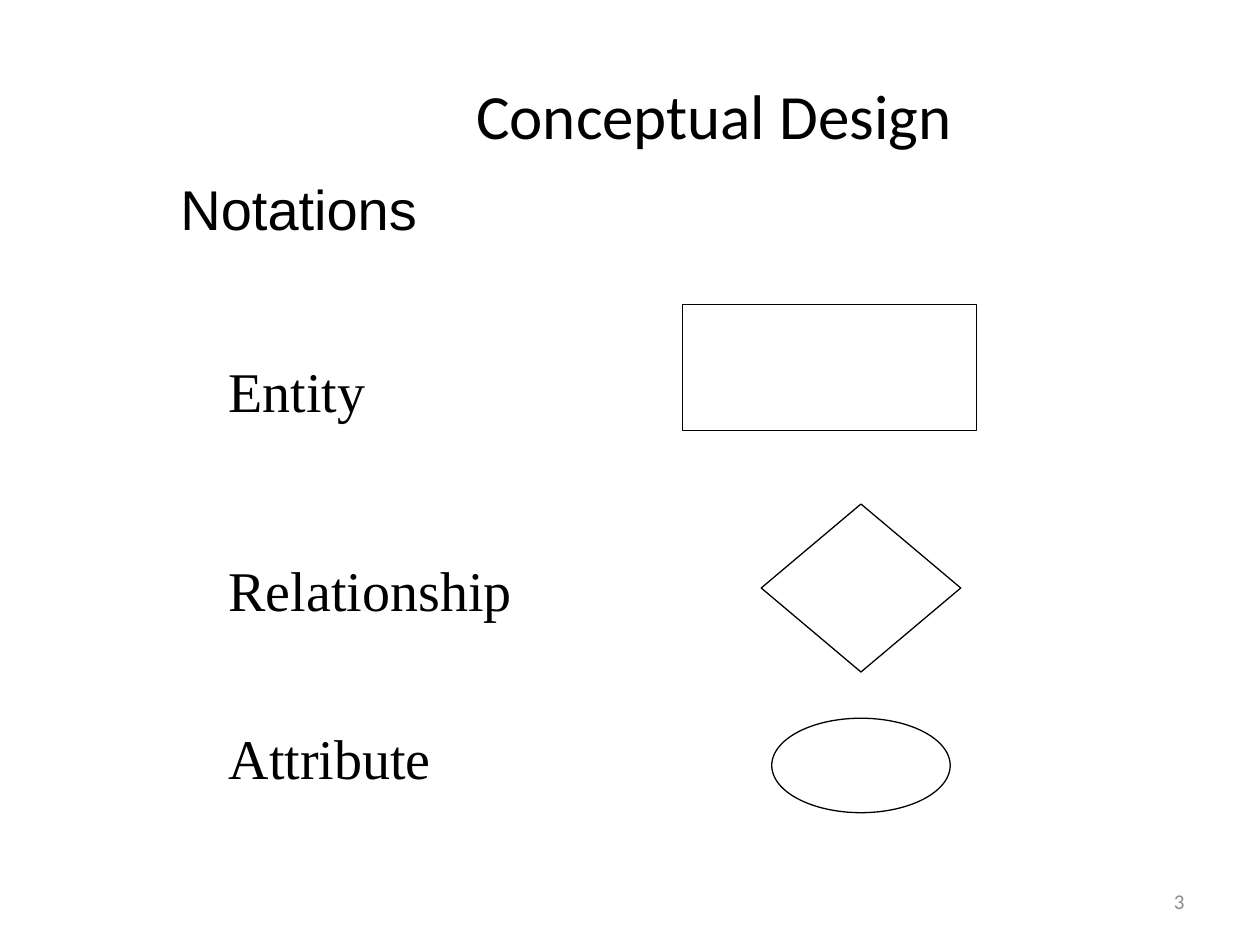
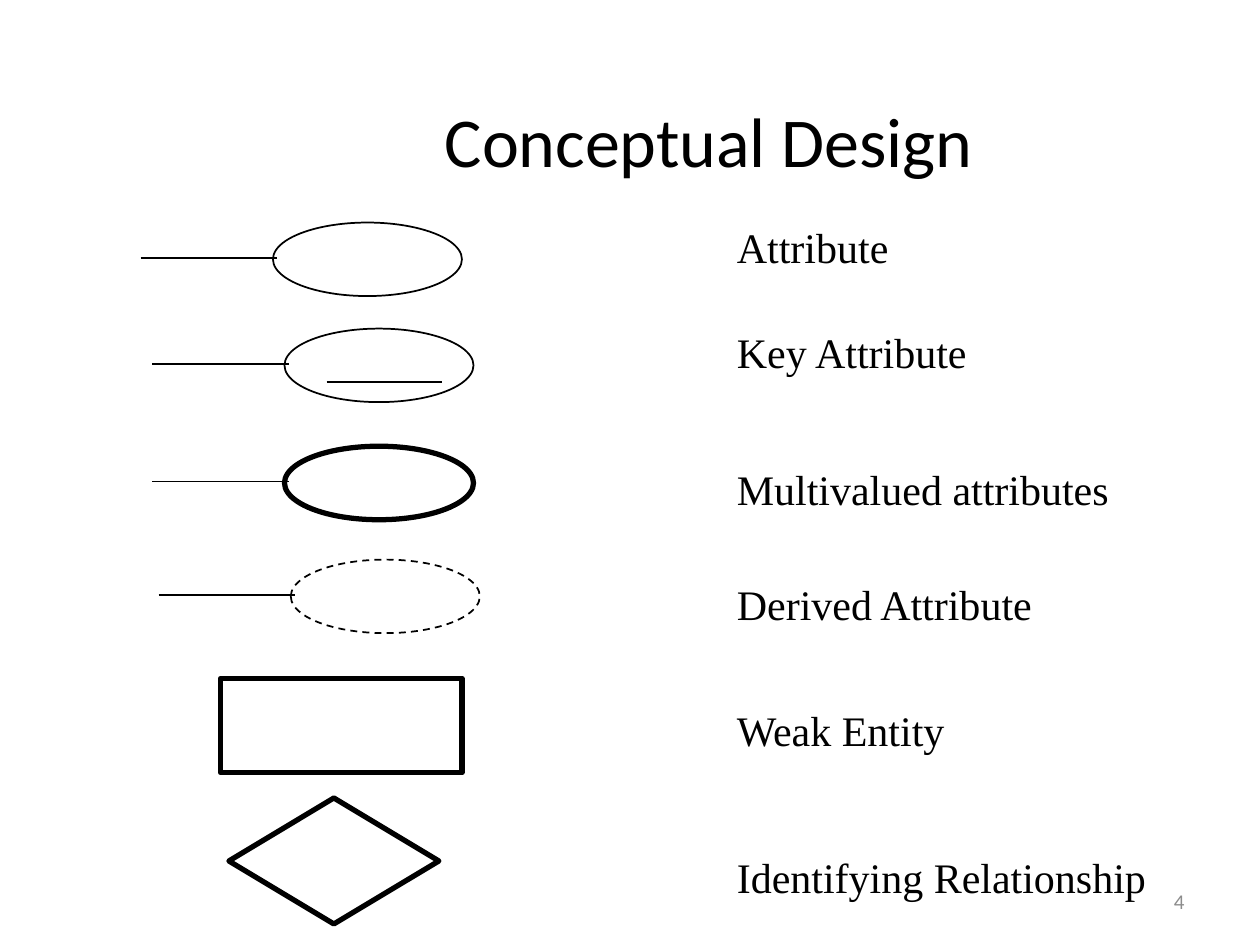
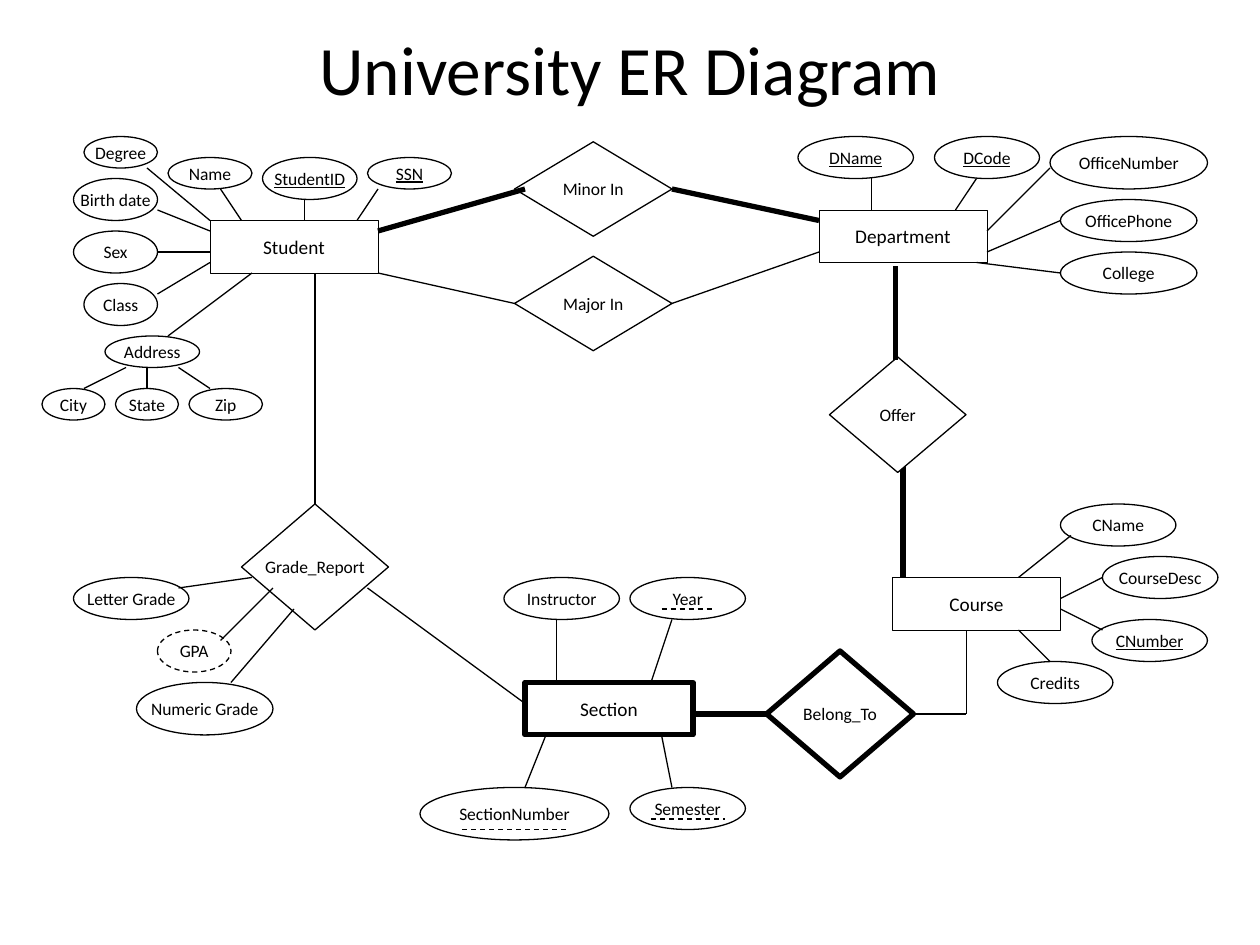
from dataclasses import dataclass

from lxml.etree import SubElement
from pptx import Presentation
from pptx.dml.color import RGBColor
from pptx.enum.dml import MSO_LINE_DASH_STYLE as DASH
from pptx.enum.shapes import MSO_CONNECTOR, MSO_SHAPE
from pptx.enum.text import MSO_ANCHOR as ANCHOR, PP_ALIGN as ALIGN
from pptx.oxml.ns import qn
from pptx.util import Inches, Pt

COLUMNS, ROWS = 120, 90
SLIDE_WIDTH, SLIDE_HEIGHT = Inches(10), Inches(7.5)
TOP, LEFT, BOTTOM, RIGHT = range(4)  # connection sites
RECT, DIAMOND, OVAL = MSO_SHAPE.RECTANGLE, MSO_SHAPE.DIAMOND, MSO_SHAPE.OVAL


@dataclass(frozen=True)
class Theme:
    ink: RGBColor = RGBColor(0, 0, 0)
    paper: RGBColor = RGBColor(255, 255, 255)
    muted: RGBColor = RGBColor(0x8C, 0x8C, 0x8C)
    sans: str = "Calibri"
    heading: str = "Arial"
    serif: str = "Times New Roman"
    notation_size: float = 32
    legend_size: float = 24
    number_size: float = 12
    entity_size: float = 11
    attribute_size: float = 10
    hairline: float = 0.25
    fine: float = 0.5
    thin: float = 0.75
    medium: float = 1
    thick: float = 3


THEME = Theme()


def across(columns):
    return round(SLIDE_WIDTH * columns / COLUMNS)


def down(rows):
    return round(SLIDE_HEIGHT * rows / ROWS)


def write(frame, text, size, font=THEME.sans, color=THEME.ink,
          align=ALIGN.LEFT, anchor=ANCHOR.TOP, wrap=True, underline=False):
    frame.text = text
    frame.word_wrap = wrap
    frame.vertical_anchor = anchor
    para = frame.paragraphs[0]
    para.alignment = align
    for span in para.runs:
        span.font.name = font
        span.font.size = Pt(size)
        span.font.color.rgb = color
        if underline:
            span.font.underline = True


def draw_line(line, weight, dashed):
    line.color.rgb = THEME.ink
    line.width = Pt(weight)
    if dashed:
        line.dash_style = DASH.DASH


@dataclass
class Panel:
    """A region of the page; its parts are placed from its top left cell."""
    page: object
    left: float = 0
    top: float = 0

    def place(self, left, top, width, height):
        return (across(self.left + left), down(self.top + top),
                across(width), down(height))

    def label(self, box, text, size, **style):
        frame = self.page.shapes.add_textbox(*self.place(*box)).text_frame
        write(frame, text, size, **style)
        return frame

    def shape(self, kind, box, text="", weight=THEME.thin, dashed=False,
              size=THEME.attribute_size, underline=False, filled=False):
        shape = self.page.shapes.add_shape(kind, *self.place(*box))
        shape.shadow.inherit = False
        if filled:
            shape.fill.solid()
            shape.fill.fore_color.rgb = THEME.paper
        else:
            shape.fill.background()
        draw_line(shape.line, weight, dashed)
        if text:
            write(shape.text_frame, text, size, align=ALIGN.CENTER,
                  anchor=ANCHOR.MIDDLE, wrap=False, underline=underline)
        return shape

    def line(self, points, weight=THEME.thin, dashed=False, begin=None, end=None):
        x1, y1, x2, y2 = points
        line = self.page.shapes.add_connector(
            MSO_CONNECTOR.STRAIGHT,
            across(self.left + x1), down(self.top + y1),
            across(self.left + x2), down(self.top + y2))
        draw_line(line.line, weight, dashed)
        SubElement(line._element.spPr, qn("a:effectLst"))
        if begin:
            line.begin_connect(*begin)
        if end:
            line.end_connect(*end)


def add_title(page, box, text, size, indent=0, drop=0, lift=0):
    frame = Panel(page).label(box, text, size, align=ALIGN.CENTER,
                              anchor=ANCHOR.MIDDLE)
    frame.margin_left += across(indent)
    frame.margin_top += down(drop)
    frame.margin_bottom += down(lift)


def add_page_number(page, number):
    Panel(page).label((86, 83.4, 28, 4.8), str(number), THEME.number_size,
                      color=THEME.muted, align=ALIGN.RIGHT, anchor=ANCHOR.MIDDLE)


# Notations slide: name, row and width of the label, then symbol and its box
NOTATIONS = [
    ("Entity", 33.4, 15.5, RECT, (65, 29, 28, 12)),
    ("Relationship", 52.4, 29.4, DIAMOND, (72.5, 48, 19, 16)),
    ("Attribute", 68.4, 21.7, OVAL, (73.5, 68.4, 17, 9)),
]


def notation_slide(page):
    add_title(page, (8, 6.1, 102, 14.5), "Conceptual Design", 36, indent=18, lift=5)
    add_page_number(page, 3)
    panel = Panel(page)
    panel.label((16, 16, 32, 7.5), "Notations", THEME.notation_size,
                font=THEME.heading)
    for name, row, width, kind, box in NOTATIONS:
        panel.label((20.6, row, width, 7.5), name, THEME.notation_size,
                    font=THEME.serif, anchor=ANCHOR.MIDDLE, wrap=False)
        panel.shape(kind, box)


# Legend slide: left, top, outline weight, stem weight, dashed
ATTRIBUTE_SYMBOLS = [
    (26, 21.2, THEME.medium, THEME.medium, False),
    (27.1, 31.3, THEME.medium, THEME.medium, False),
    (27.1, 42.5, THEME.thick, THEME.fine, False),
    (27.7, 53.3, THEME.medium, THEME.medium, True),
]
KEY_SYMBOL = 1
LEGEND = [
    ("Attribute", 20, 23),
    ("Key Attribute", 30, 31),
    ("Multivalued attributes", 43, 42),
    ("Derived Attribute", 54, 31),
    ("Weak Entity", 66, 31),
    ("Identifying Relationship", 80, 42),
]


def attribute_symbol(panel, weight, stem, dashed, key):
    panel.shape(OVAL, (0, 0, 18, 7), weight=weight, dashed=dashed)
    panel.line((-12.6, 3.4, 0.4, 3.4), stem)
    if key:
        panel.line((4, 5.1, 15, 5.1), weight)


def legend_slide(page):
    add_title(page, (10, 4, 99, 16), "Conceptual Design", 40, indent=16, drop=2.6)
    add_page_number(page, 4)
    for index, (left, top, weight, stem, dashed) in enumerate(ATTRIBUTE_SYMBOLS):
        attribute_symbol(Panel(page, left, top), weight, stem, dashed,
                         key=index == KEY_SYMBOL)
    panel = Panel(page)
    panel.shape(RECT, (21, 64.6, 23, 9), weight=THEME.thick)
    panel.shape(DIAMOND, (21.8, 76, 20, 12), weight=THEME.thick)
    for name, row, width in LEGEND:
        frame = panel.label((69, row, width, 6), name, THEME.legend_size,
                            font=THEME.serif)
        frame.margin_top = down(1.1)


@dataclass
class Cluster:
    """An owner with its attributes and links, in cells from its origin."""
    origin: tuple
    owner: str
    box: tuple
    attributes: dict
    links: list
    keys: tuple = ()
    derived: tuple = ()
    partial_keys: tuple = ()  # dashed underlines
    kind: object = RECT
    weight: float = THEME.hairline
    size: float = THEME.entity_size


STUDENT = Cluster(
    (4, 13), "Student", (16, 8, 16, 5),
    {"Class": (4, 14, 7, 4), "StudentID": (21, 2, 9, 4), "SSN": (31, 2, 8, 3),
     "Sex": (3, 9, 8, 4), "Zip": (14, 24, 7, 3), "Degree": (4, 0, 7, 3),
     "City": (0, 24, 6, 3), "Birth date": (3, 4, 8, 4), "State": (7, 24, 6, 3),
     "Name": (12, 2, 8, 3), "Address": (6, 19, 9, 3)},
    [(4, 24, 8, 22), (10, 22, 10, 24), (13, 22, 16, 24), (10, 3, 16, 8),
     (12, 19, 20, 13), (11, 15, 16, 12), (11, 11, 16, 11), (11, 7, 16, 9),
     (17, 5, 19, 8), (25, 6, 25, 8), (32, 5, 30, 8)],
    keys=("StudentID", "SSN"))

DEPARTMENT = Cluster(
    (76, 13), "Department", (2, 7, 16, 5),
    {"DName": (0, 0, 11, 4), "DCode": (13, 0, 10, 4),
     "OfficeNumber": (24, 0, 15, 5), "OfficePhone": (25, 6, 13, 4),
     "College": (25, 11, 13, 4)},
    [(7, 7, 7, 4), (15, 7, 17, 4), (18, 9, 24, 3), (18, 11, 25, 8),
     (17, 12, 25, 13)],
    keys=("DName", "DCode"))

COURSE = Cluster(
    (85, 48), "Course", (0, 7, 16, 5),
    {"CName": (16, 0, 11, 4), "CourseDesc": (20, 5, 11, 4),
     "CNumber": (19, 11, 11, 4), "Credits": (10, 15, 11, 4)},
    [(12, 7, 17, 3), (16, 9, 20, 7), (16, 10, 20, 12), (12, 12, 15, 15)],
    keys=("CNumber",))

SECTION = Cluster(
    (40, 55), "Section", (10, 10, 16, 5),
    {"Instructor": (8, 0, 11, 4), "Year": (20, 0, 11, 4),
     "Semester": (20, 20, 11, 4), "SectionNumber": (0, 20, 18, 5)},
    [(13, 10, 13, 4), (23, 15, 24, 20), (12, 15, 10, 20), (22, 10, 24, 4)],
    partial_keys=((4, 24, 14, 24), (23, 3, 28, 3), (22, 23, 29, 23)),
    weight=THEME.thick)

GRADE_REPORT = Cluster(
    (7, 48), "Grade_Report", (16, 0, 14, 12),
    {"GPA": (8, 12, 7, 4), "Numeric Grade": (6, 17, 13, 5),
     "Letter Grade": (0, 7, 11, 4)},
    [(15, 17, 21, 10), (17, 7, 10, 8), (14, 13, 19, 8)],
    derived=("GPA",), kind=DIAMOND, weight=THEME.thin, size=THEME.attribute_size)


def draw_cluster(page, cluster):
    panel = Panel(page, *cluster.origin)
    owner = panel.shape(cluster.kind, cluster.box, cluster.owner,
                        cluster.weight, size=cluster.size)
    for name, box in cluster.attributes.items():
        panel.shape(OVAL, box, name, dashed=name in cluster.derived,
                    underline=name in cluster.keys)
    for points in cluster.links:
        panel.line(points)
    for points in cluster.partial_keys:
        panel.line(points, dashed=True)
    return owner


def draw_relationships(panel, grade_report):
    thick = THEME.thick
    # Student to Section through Grade_Report
    panel.line((35, 56, 50, 67))
    panel.line((30, 48, 30, 26), begin=(grade_report, TOP))
    # Section to Course
    belong_to = panel.shape(DIAMOND, (73, 62, 14, 12), "Belong_To", thick)
    panel.line((66, 68, 73, 68), thick, end=(belong_to, LEFT))
    panel.line((92, 60, 92, 68), THEME.hairline)
    panel.line((87, 68, 92, 68), begin=(belong_to, RIGHT))
    # Course to Department
    panel.line((86, 55, 86, 44), thick)
    panel.shape(DIAMOND, (79, 34, 13, 11), "Offer", filled=True)
    panel.line((85.3, 34.3, 85.3, 25.3), thick)
    # Student to Department
    major = panel.shape(DIAMOND, (49, 24.4, 15, 9), "Major In")
    minor = panel.shape(DIAMOND, (49, 13.5, 15, 9), "Minor In")
    panel.line((36, 22, 50, 18), thick)
    panel.line((36, 26, 49, 29), end=(major, LEFT))
    panel.line((64, 18, 78, 21), thick, begin=(minor, RIGHT))
    panel.line((64, 29, 78, 24), begin=(major, RIGHT))


def diagram_slide(page):
    add_title(page, (9, 4, 102, 5), "University ER Diagram", 39.6)
    for cluster in (STUDENT, DEPARTMENT, COURSE, SECTION):
        draw_cluster(page, cluster)
    draw_relationships(Panel(page), draw_cluster(page, GRADE_REPORT))


def main():
    deck = Presentation()
    deck.slide_width, deck.slide_height = SLIDE_WIDTH, SLIDE_HEIGHT
    blank = deck.slide_layouts[6]
    for build in (notation_slide, legend_slide, diagram_slide):
        build(deck.slides.add_slide(blank))
    deck.save("out.pptx")


if __name__ == "__main__":
    main()
